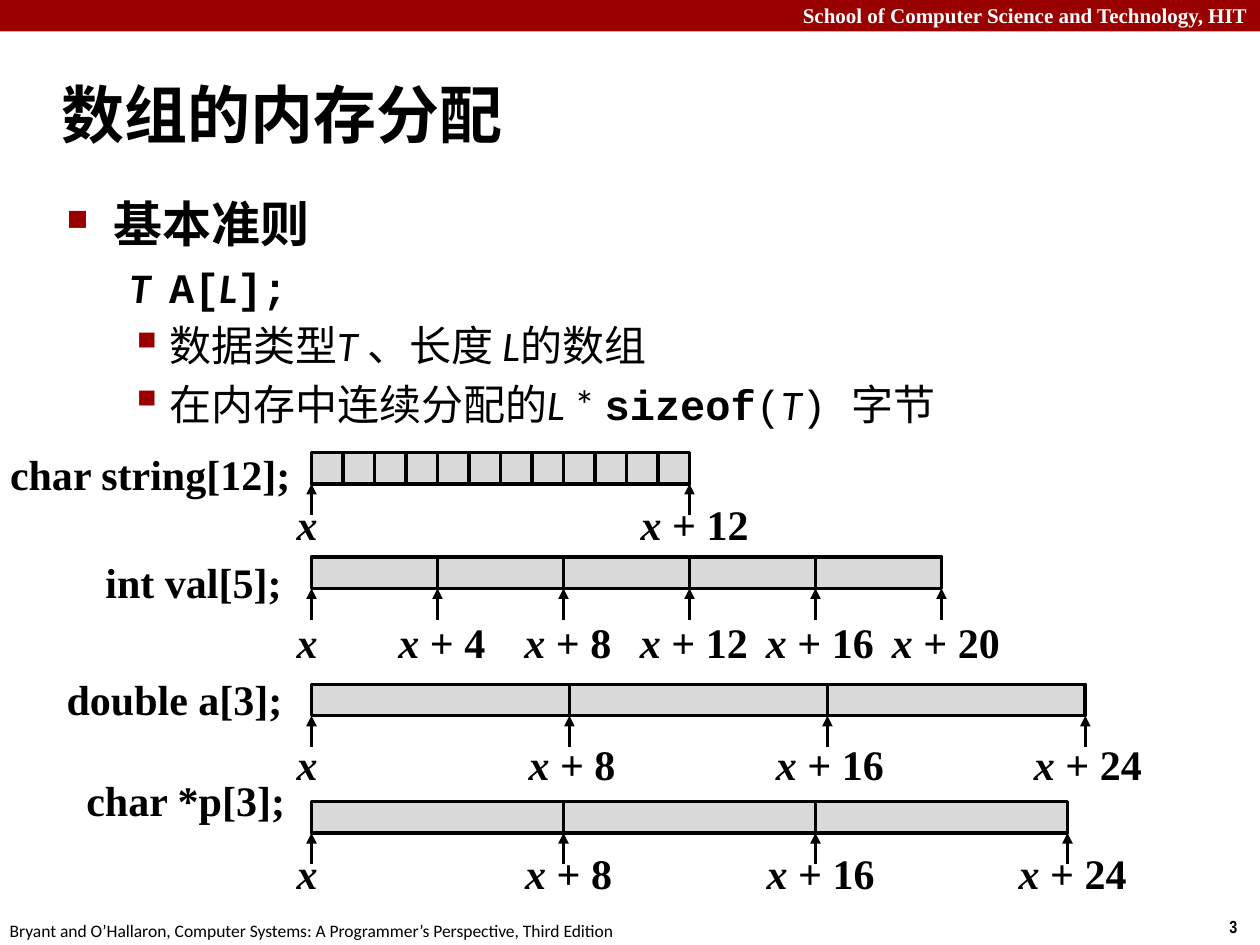
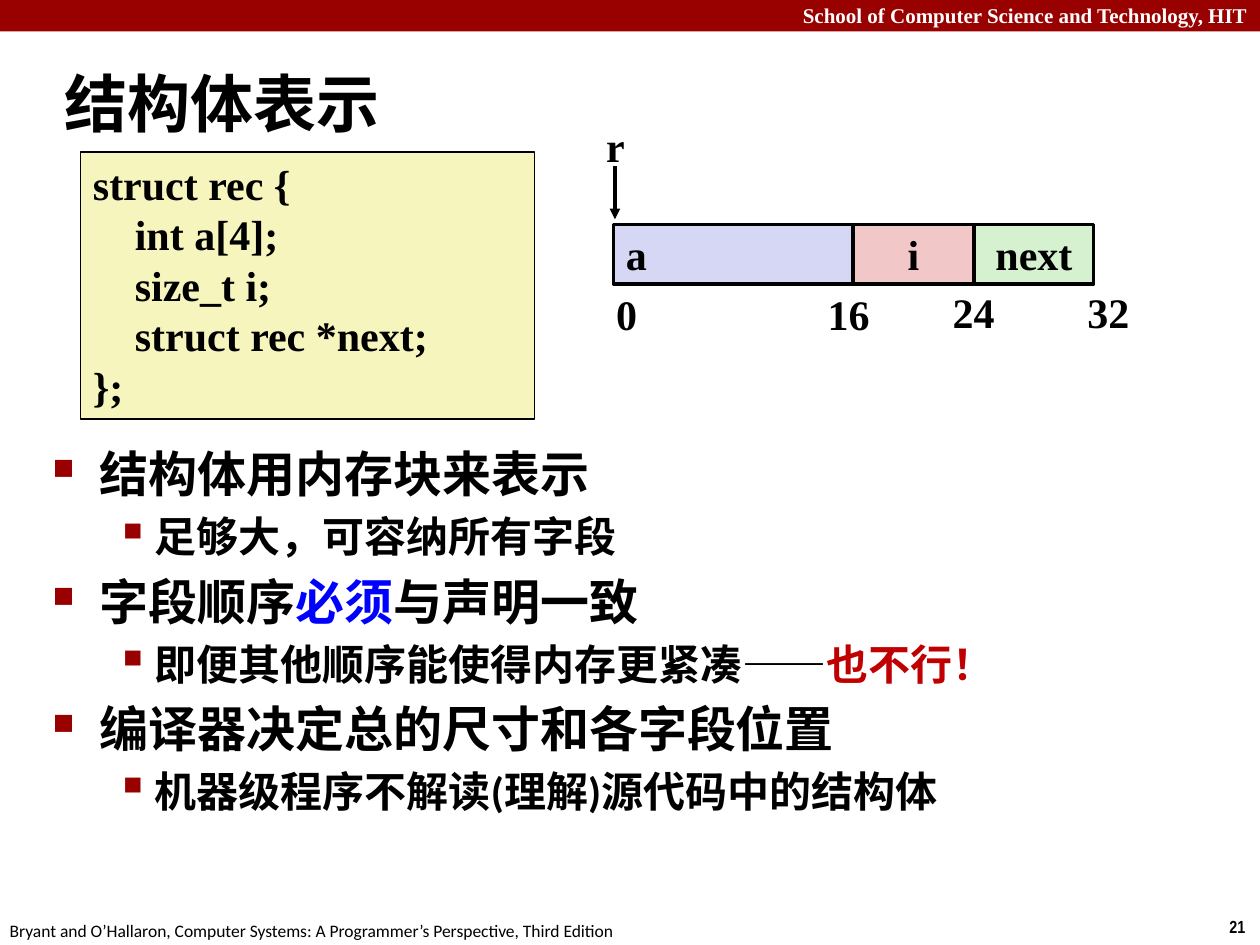
from lxml import etree
from pptx import Presentation
from pptx import dml, util as u
from pptx.dml.color import RGBColor
from pptx.enum import shapes, text
from pptx.oxml import ns

Pt = u.Pt
rgb = RGBColor.from_string
LEFT, CENTER, RIGHT = text.PP_ALIGN.LEFT, text.PP_ALIGN.CENTER, text.PP_ALIGN.RIGHT
TOP, MIDDLE = text.MSO_ANCHOR.TOP, text.MSO_ANCHOR.MIDDLE

BLACK, WHITE, CRIMSON, GREY = "000000", "FFFFFF", "990000", "D9D9D9"
SERIF = {"name": "Times New Roman", "size": Pt(24), "bold": True}
TITLE = {"name": "Calibri", "size": Pt(36), "bold": True}
FOOTER = {"name": "Calibri", "size": Pt(10)}
NUMBER = {"name": "Arial Narrow", "size": Pt(10), "bold": True}
HEADER = {"name": "Times New Roman", "size": Pt(12), "bold": True}
CODE = {"name": "Courier New"}
ITALIC = {"italic": True}

# Body levels: size, left margin, hanging indent, bullet, bullet size in percent
LEVELS = [(28, 27, -27, "■", 60), (24, 58.5, -22.5, "▪", 110)]


def box(s, x, y, w, h, paras=(), font=SERIF, color=BLACK, fill=None, line=0,
        align=LEFT, anchor=TOP, wrap=True):
    """Add a text box, or a rectangle if fill is set; paras are lists of (text, format)."""
    at = Pt(x), Pt(y), Pt(w), Pt(h)
    if fill:
        sp = s.shapes.add_shape(shapes.MSO_SHAPE.RECTANGLE, *at)
        sp.shadow.inherit = False
        sp.fill.solid()
        sp.fill.fore_color.rgb = rgb(fill)
        if line:
            sp.line.color.rgb = rgb(BLACK)
            sp.line.width = Pt(line)
        else:
            sp.line.fill.background()
    else:
        sp = s.shapes.add_textbox(*at)
    tf = sp.text_frame
    tf.word_wrap = wrap
    tf.vertical_anchor = anchor
    for i, runs in enumerate(paras):
        p = tf.paragraphs[0] if i == 0 else tf.add_paragraph()
        p.alignment = align
        for content, extra in runs:
            r = p.add_run()
            r.text = content
            formats = {"color": color, **font, **extra}
            r.font.color.rgb = rgb(formats.pop("color"))
            for name, value in formats.items():
                setattr(r.font, name, value)
    return sp


def arrow(s, x, y1, y2):
    c = s.shapes.add_connector(shapes.MSO_CONNECTOR.STRAIGHT, Pt(x), Pt(y1), Pt(x), Pt(y2))
    c.line.color.rgb = rgb(BLACK)
    c.line.width = Pt(2)
    etree.SubElement(c.line._get_or_add_ln(), ns.qn("a:tailEnd"), type="triangle")
    etree.SubElement(c._element.spPr, ns.qn("a:effectLst"))


prs = Presentation()
prs.slide_width, prs.slide_height = Pt(720), Pt(540)

pages = [
    {
        "number": "3",
        "title": ("数组的内存分配", 28, 34.5, 60),
        "body_at": (31, 107.3, 677, 200),
        "body": [
            (0, True, [("基本准则", {"bold": True})]),
            (1, False, [("T\t", {"bold": True, **ITALIC}), ("A[", {"bold": True, **CODE}),
                        ("L", {"bold": True, **ITALIC}), ("];", {"bold": True, **CODE})]),
            (1, True, [("数据类型", {}), ("T ", ITALIC), ("、长度 ", {}), ("L", ITALIC),
                       ("的数组", {})]),
            (1, True, [("在内存中连续分配的", {}), ("L ", ITALIC), ("* ", {}),
                       ("sizeof", {"bold": True, **CODE}), ("(", CODE), ("T", ITALIC),
                       (") ", CODE), ("字节", {})]),
        ],
    },
    {
        "number": "21",
        "title": ("结构体表示", 30, 36, 45),
        "body_at": (23, 250, 609, 225),
        "body": [
            (0, True, [("结构体用内存块来表示", {"bold": True})]),
            (1, True, [("足够大，可容纳所有字段", {"bold": True})]),
            (0, True, [("字段顺序", {"bold": True}),
                       ("必须", {"bold": True, "color": "0000FF"}),
                       ("与声明一致", {"bold": True})]),
            (1, True, [("即便其他顺序能使得内存更紧凑——", {"bold": True}),
                       ("也不行！", {"bold": True, "color": "C00000"})]),
            (0, True, [("编译器决定总的尺寸和各字段位置", {"bold": True})]),
            (1, True, [("机器级程序不解读(理解)源代码中的结构体", {"bold": True})]),
        ],
    },
]

# Band, footer, title and bulleted body of both slides
slides = []
for page in pages:
    s = prs.slides.add_slide(prs.slide_layouts[6])
    slides.append(s)
    box(s, 0, 0, 720, 18, fill=CRIMSON)
    box(s, 0, -2, 720, 21.5, [[("School of Computer Science and Technology, HIT", {})]],
        HEADER, WHITE, align=RIGHT)
    box(s, 695.5, 520, 24.5, 19.5, [[(page["number"], {})]], NUMBER, wrap=False)
    box(s, -1.5, 522, 366, 19.5,
        [[("Bryant and O’Hallaron, Computer Systems: A Programmer’s Perspective, Third Edition",
           {})]], FOOTER, wrap=False)
    title, x, y, h = page["title"]
    box(s, x, y, 654, h, [[(title, {})]], TITLE, anchor=MIDDLE)

    paras = [[(content, {"size": Pt(LEVELS[level][0]), **extra}) for content, extra in runs]
             for level, _, runs in page["body"]]
    sp = box(s, *page["body_at"], paras, {"name": "Calibri"})
    for i, (p, (level, bulleted, _)) in enumerate(zip(sp.text_frame.paragraphs, page["body"])):
        size, margin, indent, char, percent = LEVELS[level]
        pPr = p._p.get_or_add_pPr()
        pPr.set("marL", str(Pt(margin)))
        pPr.set("indent", str(Pt(indent)))
        if bulleted:
            clr = etree.SubElement(pPr, ns.qn("a:buClr"))
            etree.SubElement(clr, ns.qn("a:srgbClr"), val=CRIMSON)
            etree.SubElement(pPr, ns.qn("a:buSzPct"), val=str(percent * 1000))
            etree.SubElement(pPr, ns.qn("a:buChar"), char=char)
        p.level = level
        if i:
            p.space_before = Pt(size * 0.2)

arrays, struct = slides

# Arrays: declaration, its right edge and top, bar top, cell width, cell count,
# bytes per cell, label top, label shift, cells between arrows
BAR_X, BAR_H = 178, 18
rows = [
    ("char string[12];", 173, 252.7, 258.5, 18, 12, 1, 281.5, 3, 12),
    ("int val[5];", 168, 314.6, 318.2, 72, 5, 4, 349, 2.5, 1),
    ("double a[3];", 168.5, 381.6, 391, 147.4, 3, 8, 418.3, 1.5, 1),
    ("char *p[3];", 170, 439.2, 458, 144, 3, 8, 481, 3, 1),
]
for decl, right, decl_y, bar_y, cell_w, count, size, label_y, shift, step in rows:
    box(arrays, right - 180, decl_y, 180, 36, [[(decl, {})]], align=RIGHT)
    for i in range(count):
        box(arrays, BAR_X + i * cell_w, bar_y, cell_w, BAR_H, fill=GREY, line=2)
    for i in range(0, count + 1, step):
        x = BAR_X + i * cell_w
        arrow(arrays, x, bar_y + 2 * BAR_H, bar_y + BAR_H)
        label = [("x ", ITALIC), (f"+ {i * size}", {})] if i else [("x", ITALIC)]
        center = x + shift if i else x - 2.5
        box(arrays, center - 39, label_y, 78, 36, [label], align=CENTER)

# Structure: declaration and memory layout
code = ["struct rec {", "    int a[4];", "    size_t i;", "    struct rec *next;", "};"]
box(struct, 46, 87, 259.5, 152.5, [[(row, {})] for row in code], fill="F6F5BD", line=1)

fields = [("a", 350.6, 136.8, "D6D6F5", LEFT), ("i", 487.4, 69.2, "F1C7C7", CENTER),
          ("next", 556.6, 68.4, "D5F1CF", CENTER)]
for name, x, w, fill, align in fields:
    box(struct, x, 128.2, w, 34, [[(name, {})]], fill=fill, line=2, align=align, anchor=MIDDLE)

marks = [("r", 351.7, 65.5), ("0", 358, 161.3), ("16", 485, 161.3), ("24", 556.4, 160),
         ("32", 633.4, 160)]
for mark, center, y in marks:
    box(struct, center - 30, y, 60, 36, [[(mark, {})]], align=CENTER)
arrow(struct, 351.4, 95, 125.3)

prs.save("out.pptx")
